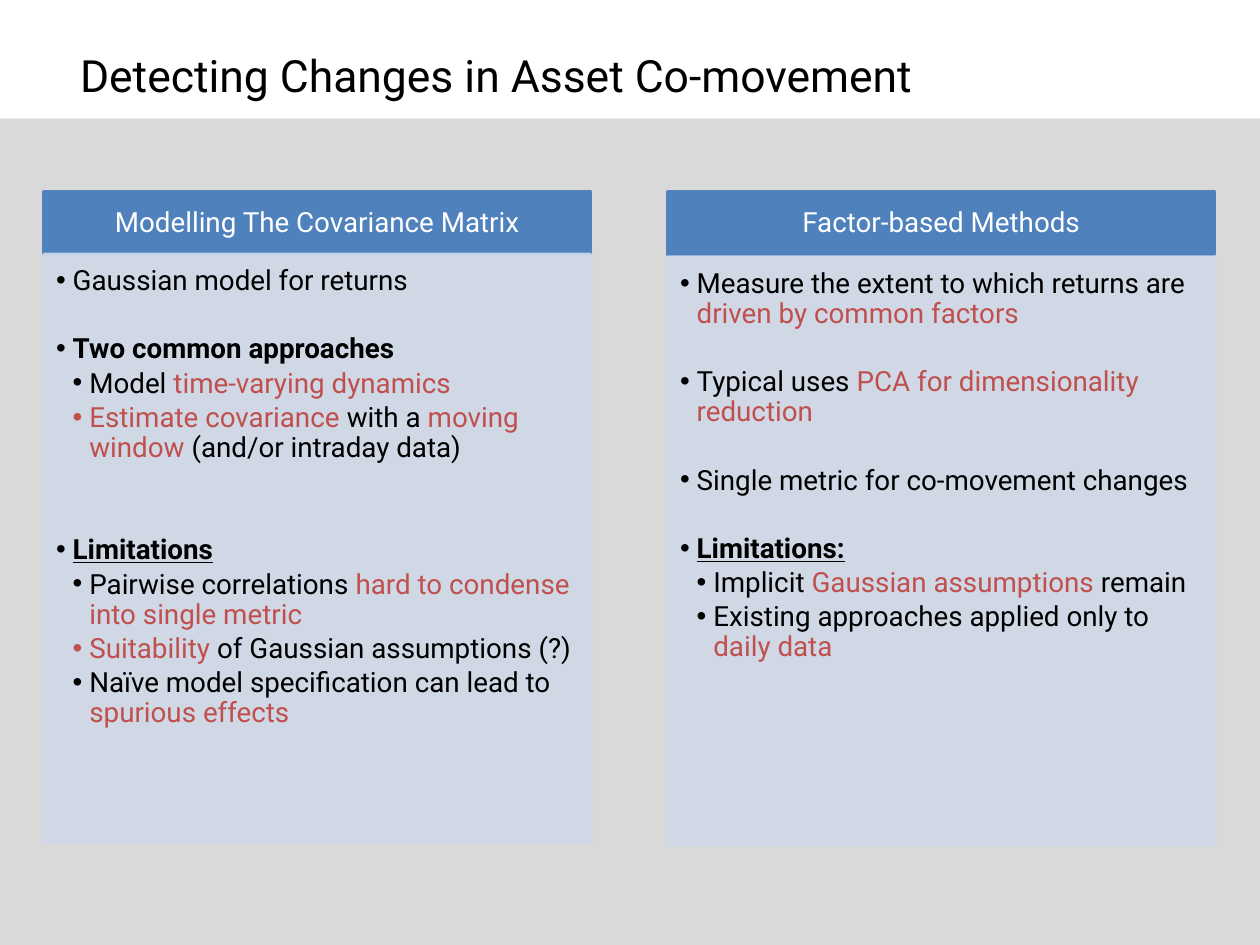
import pptx
import pptx.dml.color
import pptx.enum.shapes
import pptx.enum.text
import pptx.oxml.ns
import pptx.util
from dataclasses import dataclass
from lxml import etree

Inches = pptx.util.Inches
Pt = pptx.util.Pt
PP_ALIGN = pptx.enum.text.PP_ALIGN
MSO_ANCHOR = pptx.enum.text.MSO_ANCHOR
qn = pptx.oxml.ns.qn


@dataclass(frozen=True)
class Theme:
    """Colours, font and type sizes of the slide."""
    font: str = "Roboto"
    title_size: float = 24
    text_size: float = 15
    ink: str = "000000"
    white: str = "FFFFFF"
    accent: str = "C0504D"
    header: str = "4F81BD"
    panel: str = "D0D8E8"
    backdrop: str = "D9D9D9"
    blank_line: float = 18.5


THEME = Theme()
PLAIN = {}
ACCENT = {"color": THEME.accent}
BOLD = {"bold": True}
HEADING = {"bold": True, "underline": True}

COVARIANCE = [
    (0, 0, [("Gaussian model for returns", PLAIN)]),
    (0, 1, [("Two common approaches", BOLD)]),
    (1, 0, [("Model ", PLAIN), ("time-varying dynamics", ACCENT)]),
    (1, 0, [("Estimate covariance ", ACCENT), ("with a ", PLAIN),
            ("moving window", ACCENT), (" (and/or intraday data)", PLAIN)]),
    (0, 2, [("Limitations", HEADING)]),
    (1, 0, [("Pairwise correlations ", PLAIN),
            ("hard to condense into single metric", ACCENT)]),
    (1, 0, [("Suitability", ACCENT), (" of Gaussian assumptions (?)", PLAIN)]),
    (1, 0, [("Naïve model specification can lead to ", PLAIN),
            ("spurious effects", ACCENT)]),
]
FACTORS = [
    (0, 0, [("Measure the extent to which returns are ", PLAIN),
            ("driven by common factors", ACCENT)]),
    (0, 1, [("Typical uses ", PLAIN),
            ("PCA for dimensionality reduction", ACCENT)]),
    (0, 1, [("Single metric for co-movement changes", PLAIN)]),
    (0, 1, [("Limitations:", HEADING)]),
    (1, 0, [("Implicit ", PLAIN), ("Gaussian assumptions ", ACCENT),
            ("remain", PLAIN)]),
    (1, 0, [("Existing approaches applied only to ", PLAIN),
            ("daily data", ACCENT)]),
]


def rgb(color):
    """Return a colour object for a hex string."""
    return pptx.dml.color.RGBColor.from_string(color)


def add_text(p, text, size=THEME.text_size, color=THEME.ink, bold=False, underline=False):
    """Add one formatted run to a paragraph."""
    r = p.add_run()
    r.text = text
    r.font.name = THEME.font
    r.font.size = Pt(size)
    r.font.color.rgb = rgb(color)
    r.font.bold = bold
    r.font.underline = underline


def place(sp, box, insets, anchor):
    """Move a placeholder into a box and return its text frame."""
    sp.left, sp.top, sp.width, sp.height = (Inches(v) for v in box)
    tf = sp.text_frame
    tf.word_wrap = True
    tf.auto_size = pptx.enum.text.MSO_AUTO_SIZE.NONE
    tf.vertical_anchor = anchor
    tf.margin_left, tf.margin_top, tf.margin_right, tf.margin_bottom = (
        Inches(v) for v in insets)
    return tf


def paint(sp, color, alpha=100):
    """Give a shape a fill and a matching outline of the same opacity."""
    sp.fill.solid()
    sp.fill.fore_color.rgb = rgb(color)
    sp.line.color.rgb = rgb(color)
    sp.line.width = Pt(2)
    if alpha < 100:
        for clr in sp.element.spPr.iter(qn("a:srgbClr")):
            etree.SubElement(clr, qn("a:alpha")).set("val", str(alpha * 1000))


def add_backdrop(s, box):
    """Put the grey field behind everything else on the slide."""
    sp = s.shapes.add_shape(pptx.enum.shapes.MSO_SHAPE.RECTANGLE,
                            *(Inches(v) for v in box))
    sp.shadow.inherit = False
    sp.fill.solid()
    sp.fill.fore_color.rgb = rgb(THEME.backdrop)
    sp.line.fill.background()
    s.shapes.element.insert(2, sp.element)


def fill_title(sp, box, text):
    """Write the slide title in its box."""
    p = place(sp, box, (0.1, 0.05, 0.1, 0.05), MSO_ANCHOR.TOP).paragraphs[0]
    p.alignment = PP_ALIGN.LEFT
    add_text(p, text, size=THEME.title_size)


def fill_header(sp, box, text):
    """Write a column heading on a solid band."""
    p = place(sp, box, (0.12, 0.07, 0.12, 0.07), MSO_ANCHOR.MIDDLE).paragraphs[0]
    paint(sp, THEME.header)
    p.alignment = PP_ALIGN.CENTER
    p.line_spacing = 0.9
    p.space_before = Pt(0)
    add_text(p, text, color=THEME.white)


def fill_list(sp, box, items):
    """Write a two-level bulleted list on a pale panel."""
    tf = place(sp, box, (0.09, 0.09, 0.12, 0.13), MSO_ANCHOR.TOP)
    paint(sp, THEME.panel, alpha=90)
    for i, (level, blanks, runs) in enumerate(items):
        p = tf.add_paragraph() if i else tf.paragraphs[0]
        p.level = level
        p.alignment = PP_ALIGN.LEFT
        p.line_spacing = 0.9
        p.space_before = Pt(blanks * THEME.blank_line)
        p.space_after = Pt(2.25)
        pPr = p._p.get_or_add_pPr()
        pPr.set("marL", str(Inches(0.125 * (level + 1))))
        pPr.set("indent", str(Inches(-0.125)))
        etree.SubElement(pPr, qn("a:buChar")).set("char", "•")
        for text, style in runs:
            add_text(p, text, **style)


def fill_column(header, body, box, heading, items, body_top):
    """Lay out a heading band and the list panel beneath it."""
    left, top, width, height = box
    fill_header(header, (left, top, width, 0.47), heading)
    fill_list(body, (left, top + body_top, width, height), items)


def main():
    """Build the slide and save it."""
    prs = pptx.Presentation()
    prs.slide_width, prs.slide_height = Inches(9.45), Inches(7.09)
    s = prs.slides.add_slide(prs.slide_layouts[4])
    title, *bodies = s.placeholders
    add_backdrop(s, (0, 0.89, 9.45, 6.2))
    fill_title(title, (0.5, 0.31, 6.53, 0.5), "Detecting Changes in Asset Co-movement")
    columns = [("Modelling The Covariance Matrix", COVARIANCE, 0.47),
               ("Factor-based Methods", FACTORS, 0.49)]
    for i, (heading, items, body_top) in enumerate(columns):
        header, body = bodies[2 * i:2 * i + 2]
        fill_column(header, body, (0.33 + 4.68 * i, 1.44, 4.1, 4.41),
                    heading, items, body_top)
    prs.save("out.pptx")


if __name__ == "__main__":
    main()
